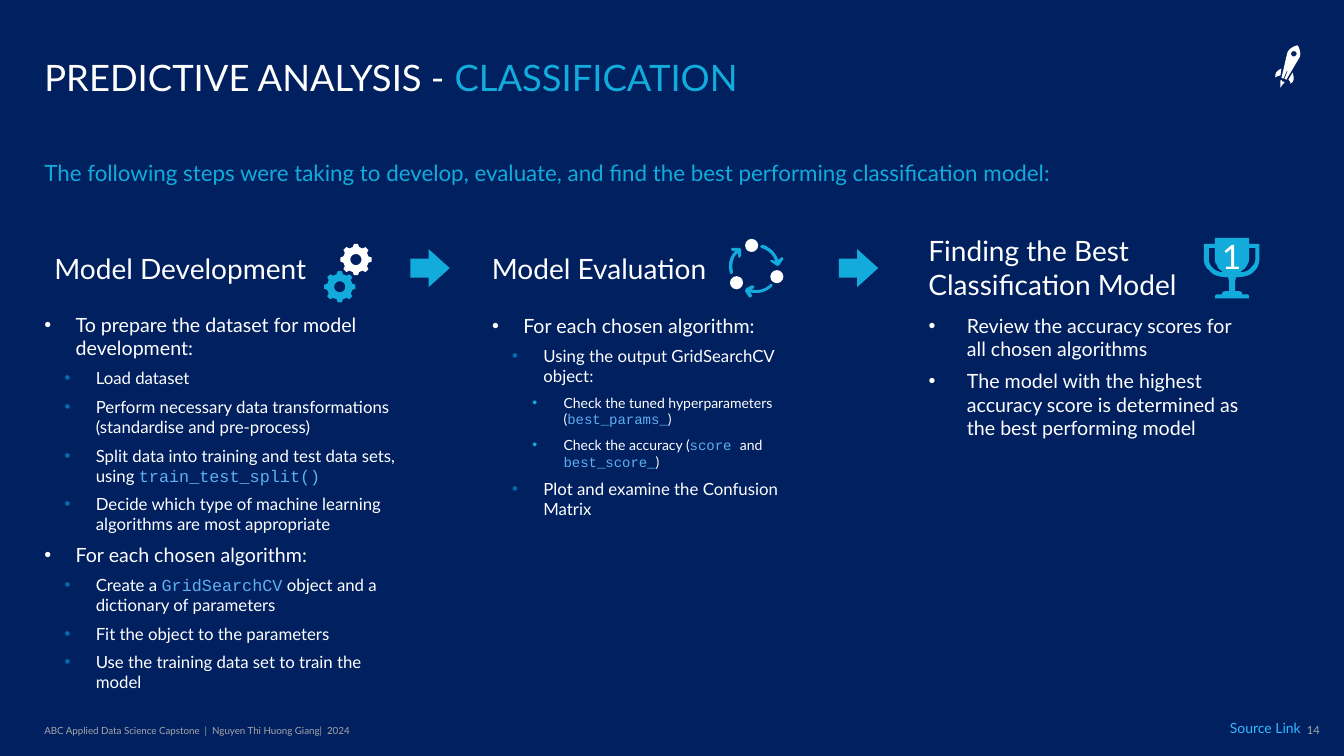
"""Builds the slide on the steps of a classification analysis."""
from dataclasses import dataclass
from math import cos, radians, sin

from lxml.etree import SubElement
from pptx import Presentation
from pptx.dml.color import RGBColor
from pptx.enum.shapes import MSO_SHAPE as Preset
from pptx.enum.text import MSO_ANCHOR as Anchor, MSO_AUTO_SIZE as AutoSize, PP_ALIGN as Align
from pptx.oxml.ns import qn
from pptx.util import Inches, Pt


@dataclass(frozen=True)
class Theme:
    background: str = "002060"
    text: str = "FFFFFF"
    accent: str = "12ABDB"
    code: str = "61AFEF"
    link: str = "35B8FF"
    muted: str = "A6A6A6"
    bullets: tuple = ("FFFFFF", "0070AD", "12ABDB")
    list_sizes: tuple = (14, 12, 10)
    title_size: int = 26
    intro_size: int = 16
    heading_size: int = 20
    trophy_size: int = 24
    link_size: int = 10
    number_size: int = 8
    footer_size: int = 7
    font: str = "Lato"
    code_font: str = "Courier New"


DEVELOPMENT = [
    (0, "To prepare the dataset for model development:"),
    (1, "Load dataset"),
    (1, "Perform necessary data transformations (standardise and pre-process)"),
    (1, "Split data into training and test data sets, using `train_test_split()`"),
    (1, "Decide which type of machine learning algorithms are most appropriate"),
    (0, "For each chosen algorithm:"),
    (1, "Create a `GridSearchCV` object and a dictionary of parameters"),
    (1, "Fit the object to the parameters"),
    (1, "Use the training data set to train the model"),
]
EVALUATION = [
    (0, "For each chosen algorithm:"),
    (1, "Using the output GridSearchCV object:"),
    (2, "Check the tuned hyperparameters (`best_params_`)"),
    (2, "Check the accuracy (`score `and `best_score_`)"),
    (1, "Plot and examine the Confusion Matrix"),
]
BEST_MODEL = [
    (0, "Review the accuracy scores for all chosen algorithms"),
    (0, "The model with the highest accuracy score is determined as the best performing model"),
]

ROCKET = [
    [(12.7, .87), (12.7, .8), (12.71, .79), (12.72, .81), (12.74, .81), (12.74, .82), (12.72, .84)],
    [(12.8, .83), (12.8, .81, 12.79, .8, 12.78, .79), (12.82, .72), (12.83, .75, 12.85, .8, 12.8, .83)],
    [(12.65, .77), (12.64, .71, 12.69, .69, 12.71, .68), (12.7, .75), (12.68, .75, 12.66, .76, 12.65, .77)],
    [(12.74, .78), (12.77, .71), (12.77, .7), (12.76, .71), (12.73, .78), (12.71, .77),
     (12.72, .74, 12.76, .55, 12.77, .52), (12.79, .47, 12.86, .45, 12.87, .45),
     (12.88, .46, 12.91, .52, 12.89, .57), (12.86, .62, 12.77, .77, 12.76, .79)],
    [(12.84, .51), (12.83, .5, 12.82, .51, 12.81, .52), (12.8, .54, 12.81, .55, 12.82, .56),
     (12.84, .56, 12.85, .56, 12.86, .54), (12.86, .53, 12.86, .51, 12.84, .51)],
]
CYCLE = [
    [(7.55, 2.46), (7.62, 2.48, 7.67, 2.53, 7.69, 2.59), (7.66, 2.58), (7.64, 2.58), (7.65, 2.6),
     (7.71, 2.64), (7.73, 2.63), (7.77, 2.57), (7.76, 2.55), (7.74, 2.56), (7.72, 2.58),
     (7.7, 2.53, 7.67, 2.48, 7.61, 2.45), (7.6, 2.44, 7.58, 2.43, 7.56, 2.43), (7.54, 2.44)],
    [(7.24, 2.71), (7.25, 2.72), (7.26, 2.72), (7.27, 2.7), (7.26, 2.65, 7.26, 2.59, 7.29, 2.54),
     (7.32, 2.51), (7.32, 2.54), (7.33, 2.56), (7.35, 2.54), (7.35, 2.47), (7.33, 2.46), (7.26, 2.46),
     (7.25, 2.47), (7.26, 2.49), (7.29, 2.49), (7.26, 2.53), (7.23, 2.58, 7.22, 2.65, 7.24, 2.71)],
    [(7.64, 2.82), (7.59, 2.87, 7.52, 2.89, 7.45, 2.87), (7.48, 2.86), (7.48, 2.84), (7.46, 2.83),
     (7.4, 2.86), (7.39, 2.89), (7.43, 2.95), (7.45, 2.95), (7.46, 2.93), (7.44, 2.9),
     (7.52, 2.92, 7.6, 2.9, 7.66, 2.84), (7.66, 2.82)],
]
TROPHY = [
    [(12.41, 2.65), (12.39, 2.68, 12.36, 2.7, 12.3, 2.7), (12.35, 2.66), (12.37, 2.63),
     (12.38, 2.61, 12.39, 2.59, 12.39, 2.56), (12.39, 2.46), (12.45, 2.46), (12.45, 2.58),
     (12.45, 2.58, 12.45, 2.62, 12.41, 2.65)],
    [(12.02, 2.65), (11.99, 2.62, 11.99, 2.58, 11.99, 2.58), (11.99, 2.46), (12.05, 2.46), (12.05, 2.56),
     (12.05, 2.59, 12.05, 2.61, 12.07, 2.63), (12.08, 2.66), (12.13, 2.7),
     (12.08, 2.7, 12.05, 2.68, 12.02, 2.65)],
    [(12.49, 2.58), (12.49, 2.42), (12.39, 2.42), (12.39, 2.36), (12.05, 2.36), (12.05, 2.42),
     (11.94, 2.42), (11.94, 2.58), (11.94, 2.58, 11.94, 2.64, 11.99, 2.68),
     (12.03, 2.73, 12.08, 2.75, 12.18, 2.75), (12.19, 2.79), (12.19, 2.89), (12.15, 2.89),
     (12.13, 2.89, 12.12, 2.9, 12.12, 2.92), (12.08, 2.92), (12.06, 2.92, 12.05, 2.93, 12.05, 2.95),
     (12.05, 2.96), (12.39, 2.96), (12.39, 2.95), (12.39, 2.93, 12.38, 2.92, 12.36, 2.92), (12.32, 2.92),
     (12.32, 2.9, 12.31, 2.89, 12.29, 2.89), (12.25, 2.89), (12.25, 2.79), (12.26, 2.75),
     (12.35, 2.75, 12.41, 2.73, 12.45, 2.68), (12.49, 2.64, 12.49, 2.58, 12.49, 2.58)],
]


def flatten(contour, steps=8):
    points = [contour[0]]
    for segment in contour[1:]:
        if len(segment) == 2:
            points.append(segment)
            continue
        controls = [points[-1], segment[:2], segment[2:4], segment[4:]]
        for step in range(1, steps + 1):
            t = step / steps
            weights = ((1 - t) ** 3, 3 * t * (1 - t) ** 2, 3 * t * t * (1 - t), t ** 3)
            points.append(tuple(sum(w * c[axis] for w, c in zip(weights, controls)) for axis in (0, 1)))
    return points


def gear(x, y, teeth=8):
    def at(radius, angle):
        return x + radius * cos(radians(angle)), y + radius * sin(radians(angle))

    profile = ((.128, -14), (.156, -7.5), (.156, 7.5), (.128, 14))
    rim = [at(radius, tooth * 360 / teeth + turn) for tooth in range(teeth) for radius, turn in profile]
    return [rim, [at(.055, angle) for angle in range(0, 360, 15)]]


class SlideBuilder:
    def __init__(self, slide, theme):
        self.slide, self.theme = slide, theme
        slide.background.fill.solid()
        slide.background.fill.fore_color.rgb = RGBColor.from_string(theme.background)

    def style(self, run, size, color, font=None):
        run.font.size, run.font.name, run.font.bold = Pt(size), font or self.theme.font, False
        run.font.color.rgb = RGBColor.from_string(color)

    def frame(self, shape, box, anchor=Anchor.TOP, insets=(.1, .05, .1, .05), wrap=True):
        shape.left, shape.top, shape.width, shape.height = map(Inches, box)
        frame = shape.text_frame
        frame.auto_size, frame.word_wrap, frame.vertical_anchor = AutoSize.NONE, wrap, anchor
        frame.margin_left, frame.margin_top, frame.margin_right, frame.margin_bottom = map(Inches, insets)
        return frame

    def text(self, text, box, size, color, align=Align.LEFT, placeholder=None, **layout):
        shape = self.slide.placeholders[placeholder] if placeholder is not None else \
            self.slide.shapes.add_textbox(0, 0, 0, 0)
        paragraph = self.frame(shape, box, **layout).paragraphs[0]
        paragraph.text, paragraph.alignment, paragraph.space_before = text, align, Pt(0)
        self.style(paragraph.runs[0], size, color)
        if placeholder:
            self.bullet(paragraph, 0, 0)
        return paragraph

    def bullet(self, paragraph, margin, hanging, color=None):
        properties = paragraph._p.get_or_add_pPr()
        properties.set("marL", str(Inches(margin)))
        properties.set("indent", str(-Inches(hanging)))
        if color is None:
            SubElement(properties, qn("a:buNone"))
            return
        SubElement(SubElement(properties, qn("a:buClr")), qn("a:srgbClr"), val=color)
        SubElement(properties, qn("a:buFont"), typeface="Arial")
        SubElement(properties, qn("a:buChar"), char="•")

    def bullets(self, items, box, placeholder, hanging=.31, **layout):
        theme = self.theme
        frame = self.frame(self.slide.placeholders[placeholder], box, **layout)
        for index, (level, text) in enumerate(items):
            paragraph = frame.add_paragraph() if index else frame.paragraphs[0]
            paragraph.level, paragraph.alignment = level, Align.LEFT
            paragraph.space_before, paragraph.space_after = Pt(0), Pt(6)
            self.bullet(paragraph, hanging + .2 * level, hanging, theme.bullets[level])
            for part, words in enumerate(text.split("`")):
                run = paragraph.add_run()
                run.text = words
                look = (theme.code, theme.code_font) if part % 2 else (theme.text, theme.font)
                self.style(run, theme.list_sizes[level], *look)

    def paint(self, shape, color):
        shape.shadow.inherit = False
        shape.fill.solid()
        shape.fill.fore_color.rgb = RGBColor.from_string(color)
        shape.line.fill.background()
        return shape

    def preset(self, kind, box, color):
        return self.paint(self.slide.shapes.add_shape(kind, *map(Inches, box)), color)

    def outline(self, contours, color):
        contours = [[(x * 1000, y * 1000) for x, y in flatten(contour)] for contour in contours]
        builder = self.slide.shapes.build_freeform(*contours[0][0], scale=Inches(1) / 1000)
        for index, points in enumerate(contours):
            if index:
                builder.move_to(*points[0])
            builder.add_line_segments(points[1:], close=True)
        return self.paint(builder.convert_to_shape(), color)


def main():
    theme, flush = Theme(), (0, 0, 0, 0)
    presentation = Presentation()
    presentation.slide_width, presentation.slide_height = Inches(13.33), Inches(7.5)
    page = SlideBuilder(presentation.slides.add_slide(presentation.slide_layouts[4]), theme)

    title = page.text("PREDICTIVE ANALYSIS - ", (.44, .21, 11.97, .78), theme.title_size, theme.text,
                      placeholder=0, anchor=Anchor.BOTTOM, insets=flush)
    title.line_spacing = .9
    topic = title.add_run()
    topic.text = "CLASSIFICATION"
    page.style(topic, theme.title_size, theme.accent)
    page.text("The following steps were taking to develop, evaluate, and find the best performing "
              "classification model:", (.44, 1.58, 12.47, .76), theme.intro_size, theme.accent,
              placeholder=1, insets=flush)

    for heading, box, anchor in (
            ("Model Development", (.44, 2.28, 3.78, .77), Anchor.MIDDLE),
            ("Model Evaluation", (4.78, 2.32, 2.79, .69), Anchor.MIDDLE),
            ("Finding the Best Classification Model", (9.11, 2.27, 2.8, .79), Anchor.TOP)):
        page.text(heading, box, theme.heading_size, theme.text, anchor=anchor)
    page.bullets(DEVELOPMENT, (.44, 3.1, 3.63, 3.72), 2, insets=flush)
    page.bullets(EVALUATION, (4.78, 3.06, 3.54, 3.76), 3)
    page.bullets(BEST_MODEL, (9.11, 3.06, 3.38, 3.76), 4, hanging=.38)

    for left in (4.07, 8.32):
        arrow = page.preset(Preset.RIGHT_ARROW, (left, 2.47, .39, .38), theme.accent)
        arrow.adjustments[0], arrow.adjustments[1] = .5, .553
    page.outline(ROCKET, theme.text)
    page.outline(gear(3.53, 2.575), theme.text)
    page.outline(gear(3.37, 2.845), theme.accent)
    for arc in CYCLE:
        page.outline([arc], theme.accent)
    for left, top in ((7.24, 2.74), (7.64, 2.68), (7.39, 2.37)):
        page.preset(Preset.OVAL, (left, top, .13, .13), theme.text)
    trophy = page.outline(TROPHY, theme.accent)
    rank = page.frame(trophy, (11.94, 2.36, .55, .6), Anchor.MIDDLE, (0, 0, 0, .24)).paragraphs[0]
    rank.text, rank.alignment = "1", Align.CENTER
    page.style(rank.runs[0], theme.trophy_size, theme.text)

    page.text("ABC Applied Data Science Capstone  |  Nguyen Thi Huong Giang|  2024", (.44, 7.13, 3.73, .24),
              theme.footer_size, theme.muted, anchor=Anchor.MIDDLE, insets=flush)
    page.text("Source Link", (12.1, 7.09, .98, .28), theme.link_size, theme.link, wrap=False)
    page.text("14", (12.84, 7.13, .25, .24), theme.number_size, theme.muted, Align.RIGHT,
              insets=(0, .05, 0, .05))
    presentation.save("out.pptx")


if __name__ == "__main__":
    main()
